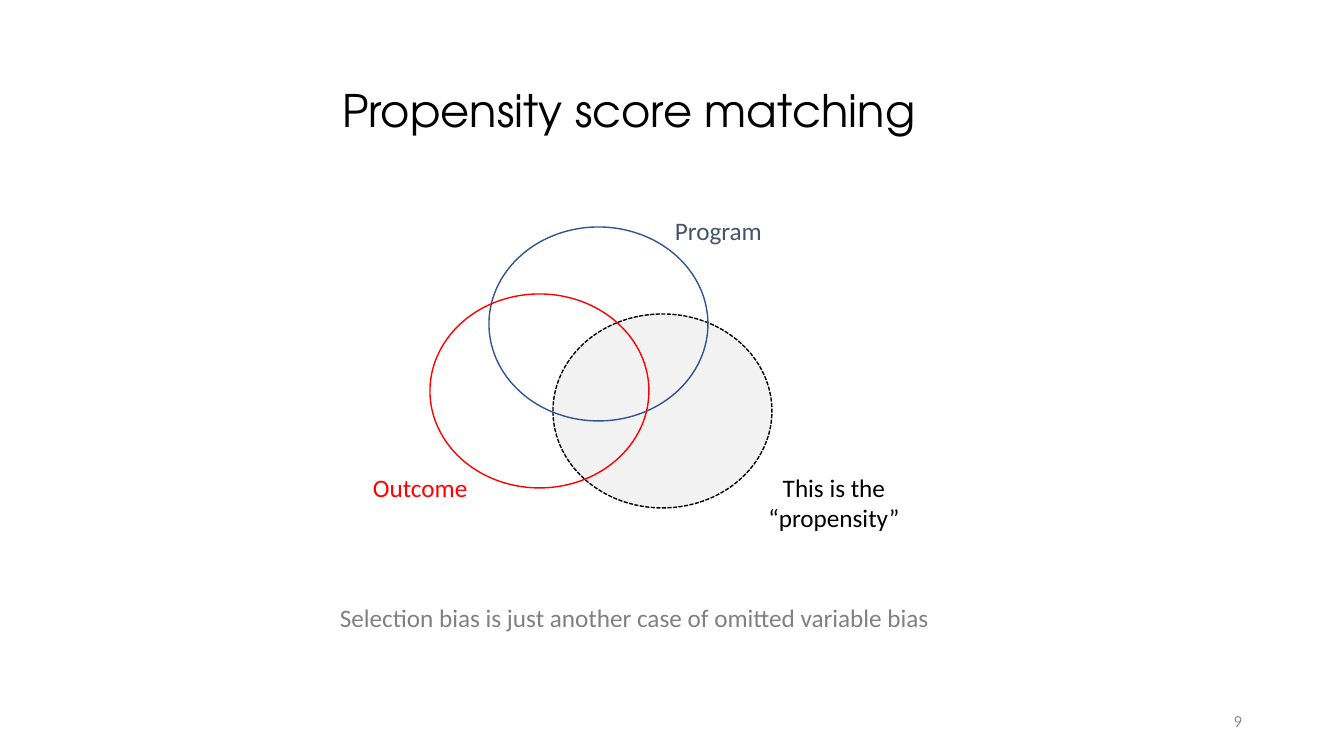
"""Build the propensity score matching slide with its three overlapping circles."""
import pptx
import pptx.util
import pptx.dml.color
import pptx.enum.dml
import pptx.enum.shapes
import pptx.enum.text

ALIGN = pptx.enum.text.PP_ALIGN
ANCHOR = pptx.enum.text.MSO_ANCHOR
AUTO_SIZE = pptx.enum.text.MSO_AUTO_SIZE
DASH = pptx.enum.dml.MSO_LINE

SLIDE_SIZE = (1344, 756)
EMU_PER_PX = 12192000 / 1344
CIRCLE_SIZE = (219, 194)

COLORS = {
    "black": "000000",
    "light": "F2F2F2",
    "blue": "325491",
    "red": "FF0000",
    "slate": "44546A",
    "gray": "808080",
    "number": "8C8C8C",
}

TITLE = {"text": "Propensity score matching", "box": (285, 33, 688, 109)}

CIRCLES = [
    {"at": (553, 314), "fill": "light", "line": "black", "dash": DASH.SQUARE_DOT},
    {"at": (489, 227), "fill": None, "line": "blue", "dash": DASH.SOLID},
    {"at": (430, 294), "fill": None, "line": "red", "dash": DASH.SOLID},
]

LABELS = [
    ("Program", (665, 210, 108, 40), "slate", ALIGN.LEFT),
    ("Outcome", (363, 467, 116, 40), "red", ALIGN.LEFT),
    ("This is the\n“propensity”", (758, 467, 152, 72), "black", ALIGN.CENTER),
    ("Selection bias is just another case of omitted variable bias",
     (330, 597, 611, 40), "gray", ALIGN.LEFT),
]

SLIDE_NUMBER = ("9", (950, 701, 302, 40), "number", ALIGN.RIGHT)


def emu(*lengths):
    return [round(length * EMU_PER_PX) for length in lengths]


def rgb(name):
    return pptx.dml.color.RGBColor.from_string(COLORS[name])


def set_all(target, values):
    for name, value in values.items():
        setattr(target, name, value)


def write(shape, text, color, font, frame_format, paragraph_format):
    set_all(shape.text_frame, frame_format)
    paragraph = shape.text_frame.paragraphs[0]
    paragraph.text = text
    set_all(paragraph, paragraph_format)
    set_all(paragraph.font, font)
    paragraph.font.color.rgb = rgb(color)


def add_title(slide):
    title = slide.shapes.title
    set_all(title, dict(zip(("left", "top", "width", "height"), emu(*TITLE["box"]))))
    write(title, TITLE["text"], "black",
          {"name": "TeX Gyre Adventor", "size": pptx.util.Pt(32)},
          {"vertical_anchor": ANCHOR.BOTTOM, "auto_size": AUTO_SIZE.NONE, "word_wrap": True},
          {"alignment": ALIGN.CENTER, "line_spacing": 0.9})


def add_circle(slide, circle):
    shape = slide.shapes.add_shape(
        pptx.enum.shapes.MSO_SHAPE.OVAL, *emu(*circle["at"], *CIRCLE_SIZE))
    shape.shadow.inherit = False
    if circle["fill"]:
        shape.fill.solid()
        shape.fill.fore_color.rgb = rgb(circle["fill"])
    else:
        shape.fill.background()
    shape.line.color.rgb = rgb(circle["line"])
    set_all(shape.line, {"width": pptx.util.Pt(1), "dash_style": circle["dash"]})


def add_label(slide, label, size, frame_format):
    text, box, color, alignment = label
    shape = slide.shapes.add_textbox(*emu(*box))
    write(shape, text, color, {"name": "Calibri", "size": pptx.util.Pt(size)},
          frame_format, {"alignment": alignment})


def main():
    presentation = pptx.Presentation()
    presentation.slide_width, presentation.slide_height = emu(*SLIDE_SIZE)
    slide = presentation.slides.add_slide(presentation.slide_layouts.get_by_name("Title Only"))
    add_title(slide)
    for circle in CIRCLES:
        add_circle(slide, circle)
    for label in LABELS:
        add_label(slide, label, 18,
                  {"word_wrap": False, "auto_size": AUTO_SIZE.SHAPE_TO_FIT_TEXT})
    add_label(slide, SLIDE_NUMBER, 12,
              {"word_wrap": True, "vertical_anchor": ANCHOR.MIDDLE})
    presentation.save("out.pptx")


if __name__ == "__main__":
    main()
